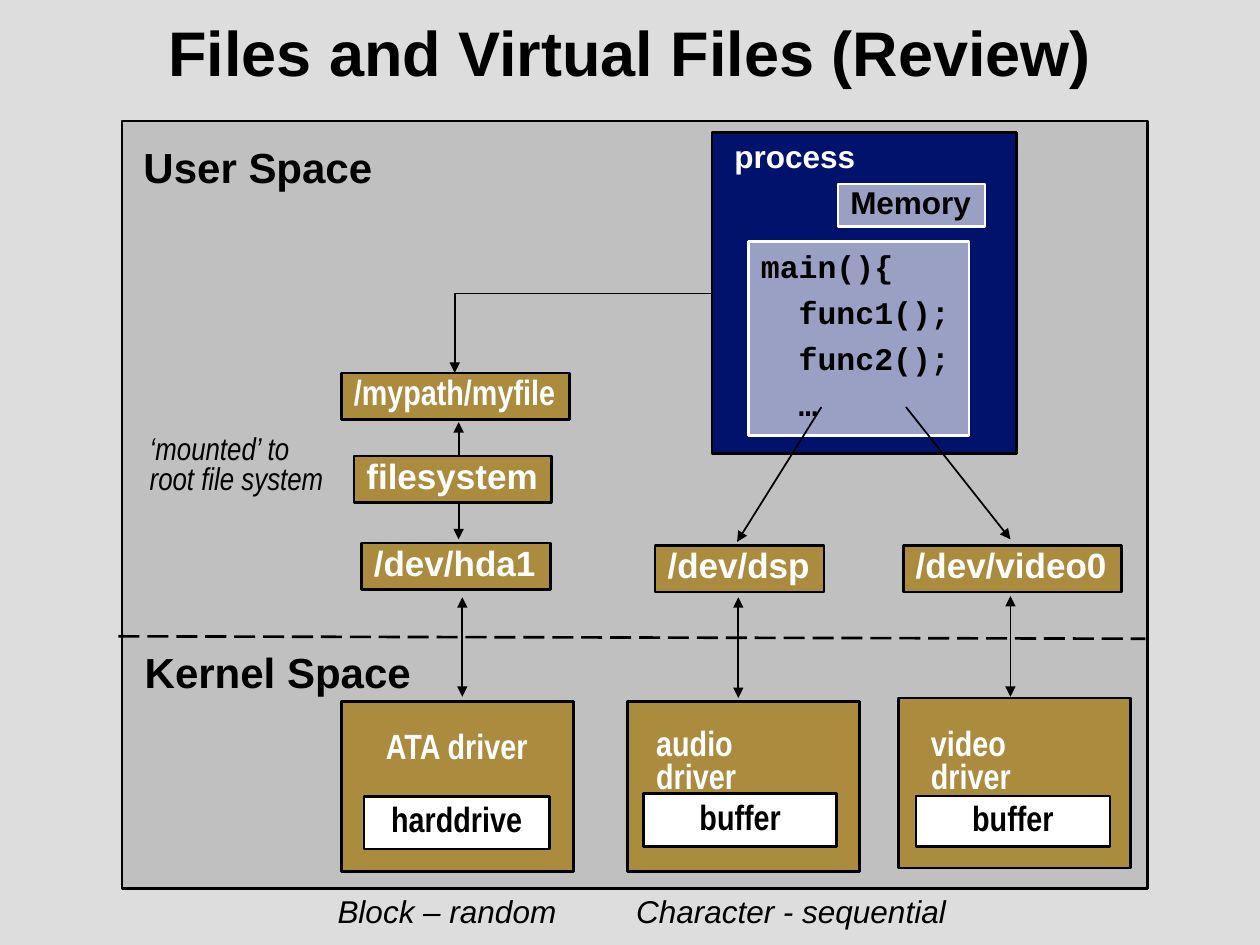
"""Build the slide on files and virtual files in user and kernel space."""
from dataclasses import dataclass
from typing import Optional

from lxml import etree
from pptx import Presentation
from pptx.dml.color import RGBColor
from pptx.enum import dml, shapes, text
from pptx.oxml import ns
from pptx.util import Pt

BLACK = RGBColor(0x00, 0x00, 0x00)
WHITE = RGBColor(0xFF, 0xFF, 0xFF)
BACKDROP = RGBColor(0xDD, 0xDD, 0xDD)
GREY = RGBColor(0xC0, 0xC0, 0xC0)
GOLD = RGBColor(0xAB, 0x8C, 0x3F)
NAVY = RGBColor(0x00, 0x12, 0x6C)
SANS, NARROW, MONO = "Arial", "Arial Narrow", "Courier New"


@dataclass(frozen=True)
class Block:
    left: float
    top: float
    width: float
    height: float
    words: str = ""
    fill: Optional[RGBColor] = None
    line: RGBColor = BLACK
    color: RGBColor = BLACK
    size: float = 20
    font: str = SANS
    italic: bool = False
    middle: bool = False
    centered: bool = False
    wrap: bool = False
    alpha: int = 100
    tab: float = 0


@dataclass(frozen=True)
class Link:
    x1: float
    y1: float
    x2: float
    y2: float
    weight: float = 1
    ends: tuple[str, ...] = ("a:tailEnd",)
    bent: bool = False
    dashed: bool = False


def write(frame, block: Block) -> None:
    frame.word_wrap = block.wrap
    frame.auto_size = (text.MSO_AUTO_SIZE.NONE if block.middle
                       else text.MSO_AUTO_SIZE.SHAPE_TO_FIT_TEXT)
    frame.vertical_anchor = (text.MSO_ANCHOR.MIDDLE if block.middle
                             else text.MSO_ANCHOR.TOP)
    frame.text = block.words
    for index, paragraph in enumerate(frame.paragraphs):
        paragraph.alignment = (text.PP_ALIGN.CENTER if block.centered
                               else text.PP_ALIGN.LEFT)
        paragraph.line_spacing = 0.8
        if index:
            paragraph.space_before = Pt(block.size / 2)
        if block.tab:
            properties = paragraph._p.get_or_add_pPr()
            stops = etree.SubElement(properties, ns.qn("a:tabLst"))
            etree.SubElement(stops, ns.qn("a:tab"), pos=str(Pt(block.tab)), algn="l")
        font = paragraph.font
        font.name, font.size = block.font, Pt(block.size)
        font.bold, font.italic = not block.italic, block.italic
        font.color.rgb = block.color


def draw_block(slide, block: Block) -> None:
    place = [Pt(v) for v in (block.left, block.top, block.width, block.height)]
    if block.fill is None:
        shape = slide.shapes.add_textbox(*place)
    else:
        shape = slide.shapes.add_shape(shapes.MSO_SHAPE.RECTANGLE, *place)
        shape.shadow.inherit = False
        shape.fill.solid()
        shape.fill.fore_color.rgb = block.fill
        shape.line.color.rgb = block.line
        shape.line.width = Pt(1.5)
        if block.alpha < 100:
            tint = shape.element.spPr.find(f"{ns.qn('a:solidFill')}/{ns.qn('a:srgbClr')}")
            etree.SubElement(tint, ns.qn("a:alpha"), val=str(block.alpha * 1000))
    if block.words:
        write(shape.text_frame, block)


def draw_link(slide, link: Link) -> None:
    kind = shapes.MSO_CONNECTOR.ELBOW if link.bent else shapes.MSO_CONNECTOR.STRAIGHT
    connector = slide.shapes.add_connector(
        kind, Pt(link.x1), Pt(link.y1), Pt(link.x2), Pt(link.y2))
    connector.line.color.rgb = BLACK
    connector.line.width = Pt(link.weight)
    if link.dashed:
        connector.line.dash_style = dml.MSO_LINE.LONG_DASH
    properties = connector.element.spPr
    if link.bent:
        properties.find(ns.qn("a:prstGeom")).set("prst", "bentConnector2")
    for end in link.ends:
        etree.SubElement(properties.find(ns.qn("a:ln")), ns.qn(end), type="triangle")
    etree.SubElement(properties, ns.qn("a:effectLst"))


def heading(left: float, top: float, width: float, words: str) -> Block:
    return Block(left, top, width, 30, words, size=24)


def driver(left: float, top: float) -> Block:
    return Block(left, top, 132.5, 97.2, fill=GOLD)


def driver_name(left: float, words: str) -> Block:
    return Block(left, 413.3, 100, 26.6, words, color=WHITE, font=NARROW, wrap=True)


def device(left: float, top: float, width: float, words: str, font: str = SANS) -> Block:
    return Block(left, top, width, 26.6, words, GOLD, color=WHITE, font=font)


def store(left: float, top: float, width: float, height: float, words: str) -> Block:
    return Block(left, top, width, height, words, WHITE, font=NARROW,
                 middle=True, centered=True)


def two_way(x: float, bottom: float, top: float) -> Link:
    return Link(x, bottom, x, top, ends=("a:headEnd", "a:tailEnd"))


CODE = "main(){\n  func1();\n  func2();\n  …"
PARTS = (
    Block(69.8, 69.1, 586.1, 438.5, fill=GREY),
    Link(67.7, 363.6, 654.5, 365, weight=1.5, ends=(), dashed=True),
    heading(75.6, 371.5, 166.3, "Kernel Space"),
    heading(74.9, 82.8, 145.4, "User Space"),
    driver(195.1, 401),
    driver(358.6, 401),
    driver(513.4, 398.9),
    driver_name(367.9, "audio driver"),
    driver_name(524.9, "video driver"),
    store(208.1, 455, 105.8, 30.2, "harddrive"),
    Block(208.1, 413.3, 105.8, 30.2, "ATA driver", color=WHITE, font=NARROW,
          middle=True, centered=True),
    store(367.9, 453.6, 110.2, 30.2, "buffer"),
    store(523.4, 455, 110.9, 28.8, "buffer"),
    Block(406.8, 75.6, 174.2, 183.6, fill=NAVY),
    Block(478.8, 105.1, 84.2, 24.5, "Memory", WHITE, WHITE, size=18, alpha=60),
    Block(412.6, 79.2, 83.5, 24.5, "process", color=WHITE, size=18),
    Block(427.7, 138.2, 126, 110.9, CODE, WHITE, WHITE, size=18, font=MONO,
          middle=True, alpha=60),
    device(374.4, 311.8, 96.5, "/dev/dsp"),
    device(516.2, 311.8, 124.6, "/dev/video0"),
    device(195.1, 213.1, 130.3, "/mypath/myfile", NARROW),
    device(206.6, 310.3, 108, "/dev/hda1"),
    two_way(577.4, 398.2, 340.6),
    two_way(421.9, 398.9, 341.3),
    two_way(264.2, 398.2, 341.3),
    two_way(262.1, 308.2, 241.2),
    device(202.3, 260.6, 113, "filesystem"),
    Link(469.4, 232.6, 421.2, 309.6),
    Link(517.7, 232.6, 577.4, 308.2),
    Link(406.8, 167.8, 259.9, 213.1, bent=True),
    Block(185.8, 510.5, 362.2, 24.5, "Block – random\tCharacter - sequential",
          size=18, italic=True, tab=170.6),
    Block(78.5, 245.5, 115.2, 42.5, "‘mounted’ to \vroot file system",
          size=18, font=NARROW, italic=True),
)


def add_title(slide) -> None:
    title = slide.shapes.title
    title.left, title.top, title.width, title.height = Pt(0), Pt(0), Pt(720), Pt(58.3)
    title.text_frame.text = "Files and Virtual Files (Review)"
    title.text_frame.vertical_anchor = text.MSO_ANCHOR.MIDDLE
    paragraph = title.text_frame.paragraphs[0]
    paragraph.alignment = text.PP_ALIGN.CENTER
    font = paragraph.font
    font.name, font.size, font.bold = SANS, Pt(36), True
    font.color.rgb = BLACK


def main() -> None:
    deck = Presentation()
    deck.slide_width, deck.slide_height = Pt(720), Pt(540)
    slide = deck.slides.add_slide(deck.slide_layouts[5])
    slide.background.fill.solid()
    slide.background.fill.fore_color.rgb = BACKDROP
    add_title(slide)
    for part in PARTS:
        if isinstance(part, Link):
            draw_link(slide, part)
        else:
            draw_block(slide, part)
    deck.save("out.pptx")


if __name__ == "__main__":
    main()
